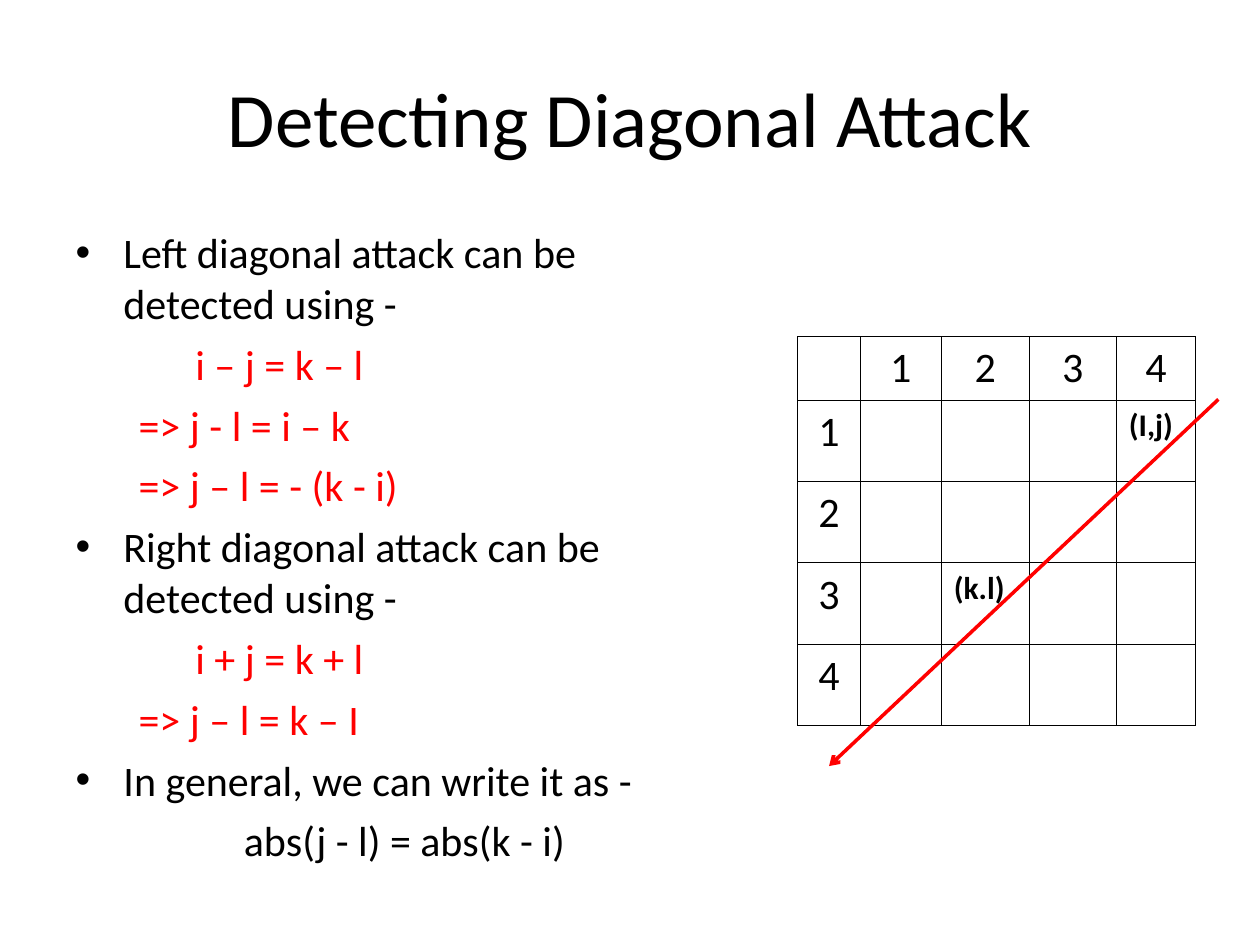
from lxml import etree
from pptx import Presentation
from pptx import util as u
from pptx.dml.color import RGBColor
from pptx.enum import shapes, text
from pptx.oxml import parse_xml
from pptx.oxml.ns import nsdecls, qn

COLORS = {"ink": "000000", "accent": "FF0000"}
MID = text.PP_ALIGN.CENTER
LEFT = text.PP_ALIGN.LEFT

# kind: (level, left margin, first-line indent, bullet, colour, alignment)
KINDS = {
    "point": (0, 0.38, -0.38, "•", "ink", LEFT),
    "start": (1, 0.95, 0, None, "accent", LEFT),
    "step": (1, 0.5, 0, None, "accent", LEFT),
    "result": (0, 0, 0, None, "ink", MID),
}
LINES = [
    ("point", "Left diagonal attack can be detected using -"),
    ("start", "i – j = k – l"),
    ("step", "=> j - l = i – k"),
    ("step", "=> j – l = - (k - i)"),
    ("point", "Right diagonal attack can be detected using -"),
    ("start", "i + j = k + l"),
    ("step", "=> j – l = k – I"),
    ("point", "In general, we can write it as -"),
    ("result", "abs(j - l) = abs(k - i)"),
]
QUEENS = {(1, 4): "(I,j)", (3, 2): "(k.l)"}
COLS = [0.5, 0.64, 0.7, 0.69, 0.63]
ROWS = [0.5] + [2.58 / 4] * 4


class Deck:
    """Holds the font and the current slide, and adds elements to it."""

    def __init__(self, font):
        self.font = font
        self.prs = Presentation()
        self.prs.slide_width = u.Inches(10)
        self.prs.slide_height = u.Inches(7.5)
        self.slide = self.prs.slides.add_slide(self.prs.slide_layouts[1])

    def place(self, shape, x, y, w, h):
        shape.left, shape.top = u.Inches(x), u.Inches(y)
        shape.width, shape.height = u.Inches(w), u.Inches(h)
        shape.text_frame.auto_size = text.MSO_AUTO_SIZE.NONE

    def style(self, par, size, color="ink", align=LEFT, bold=False):
        par.alignment = align
        for run in par.runs:
            run.font.name = self.font
            run.font.size = u.Pt(size)
            run.font.bold = bold
            run.font.color.rgb = RGBColor.from_string(COLORS[color])

    def title(self, words, *box):
        shape = self.slide.shapes.title
        self.place(shape, *box)
        frame = shape.text_frame
        frame.text = words
        frame.vertical_anchor = text.MSO_ANCHOR.MIDDLE
        self.style(frame.paragraphs[0], 44, align=MID)

    def body(self, lines, *box):
        shape = self.slide.placeholders[1]
        self.place(shape, *box)
        frame = shape.text_frame
        frame.text = "\n".join(words for _, words in lines)
        for par, (kind, _) in zip(frame.paragraphs, lines):
            level, margin, indent, bullet, color, align = KINDS[kind]
            par.level = level
            par.space_before = u.Pt(6)
            self.style(par, 24, color, align)
            props = par._p.get_or_add_pPr()
            props.set("marL", str(u.Inches(margin)))
            props.set("indent", str(u.Inches(indent)))
            if bullet:
                etree.SubElement(props, qn("a:buChar")).set("char", bullet)
            else:
                etree.SubElement(props, qn("a:buNone"))

    def board(self, x, y, cols, rows, marks):
        """Draw a numbered chessboard; marks maps (row, column) to a label."""
        frame = self.slide.shapes.add_table(
            len(rows), len(cols), u.Inches(x), u.Inches(y),
            u.Inches(sum(cols)), u.Inches(sum(rows)))
        table = frame.table
        table.first_row = table.horz_banding = False
        for col, width in zip(table.columns, cols):
            col.width = u.Inches(width)
        for row, height in zip(table.rows, rows):
            row.height = u.Inches(height)
        for r in range(len(rows)):
            for c in range(len(cols)):
                cell = table.cell(r, c)
                self.border(cell, 0.45)
                cell.fill.background()
                par = cell.text_frame.paragraphs[0]
                if (r, c) in marks:
                    par.text = marks[r, c]
                    self.style(par, 18, bold=True)
                elif (r == 0) != (c == 0):
                    par.text = str(r or c)
                    self.style(par, 24, align=MID)

    def border(self, cell, width):
        props = cell._tc.get_or_add_tcPr()
        for side in ("lnL", "lnR", "lnT", "lnB"):
            props.append(parse_xml(
                f'<a:{side} {nsdecls("a")} w="{u.Pt(width)}"><a:solidFill>'
                f'<a:srgbClr val="{COLORS["ink"]}"/></a:solidFill></a:{side}>'))

    def arrow(self, x1, y1, x2, y2):
        line = self.slide.shapes.add_connector(
            shapes.MSO_CONNECTOR.STRAIGHT,
            u.Inches(x1), u.Inches(y1), u.Inches(x2), u.Inches(y2))
        line.line.width = u.Pt(2)
        line.line.color.rgb = RGBColor.from_string(COLORS["accent"])
        etree.SubElement(line.line._get_or_add_ln(),
                         qn("a:tailEnd")).set("type", "arrow")
        etree.SubElement(line._element.spPr, qn("a:effectLst"))


def main():
    deck = Deck("Calibri")
    deck.title("Detecting Diagonal Attack", 0.5, 0.3, 9, 1.25)
    deck.body(LINES, 0.5, 1.75, 5.42, 5.25)
    deck.board(6.33, 2.67, COLS, ROWS, QUEENS)
    deck.arrow(9.67, 3.17, 6.58, 6.08)
    deck.prs.save("out.pptx")


if __name__ == "__main__":
    main()
